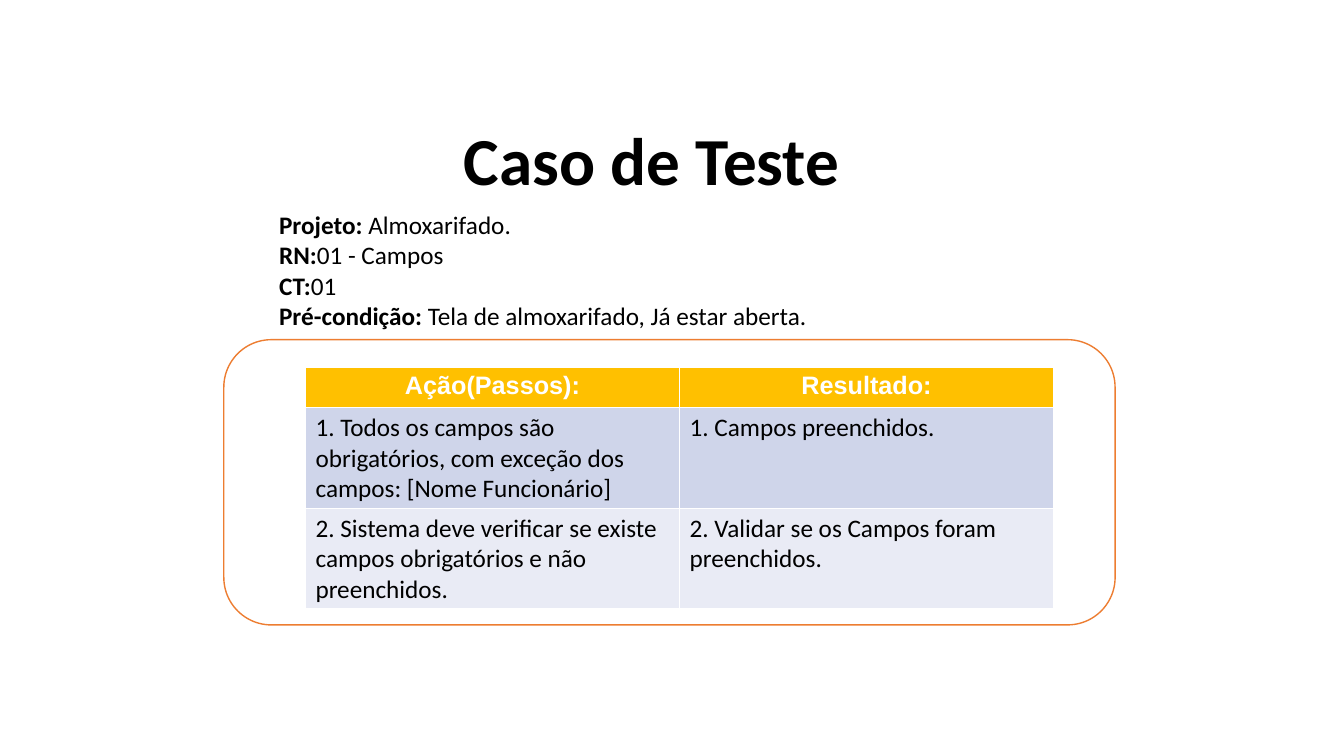
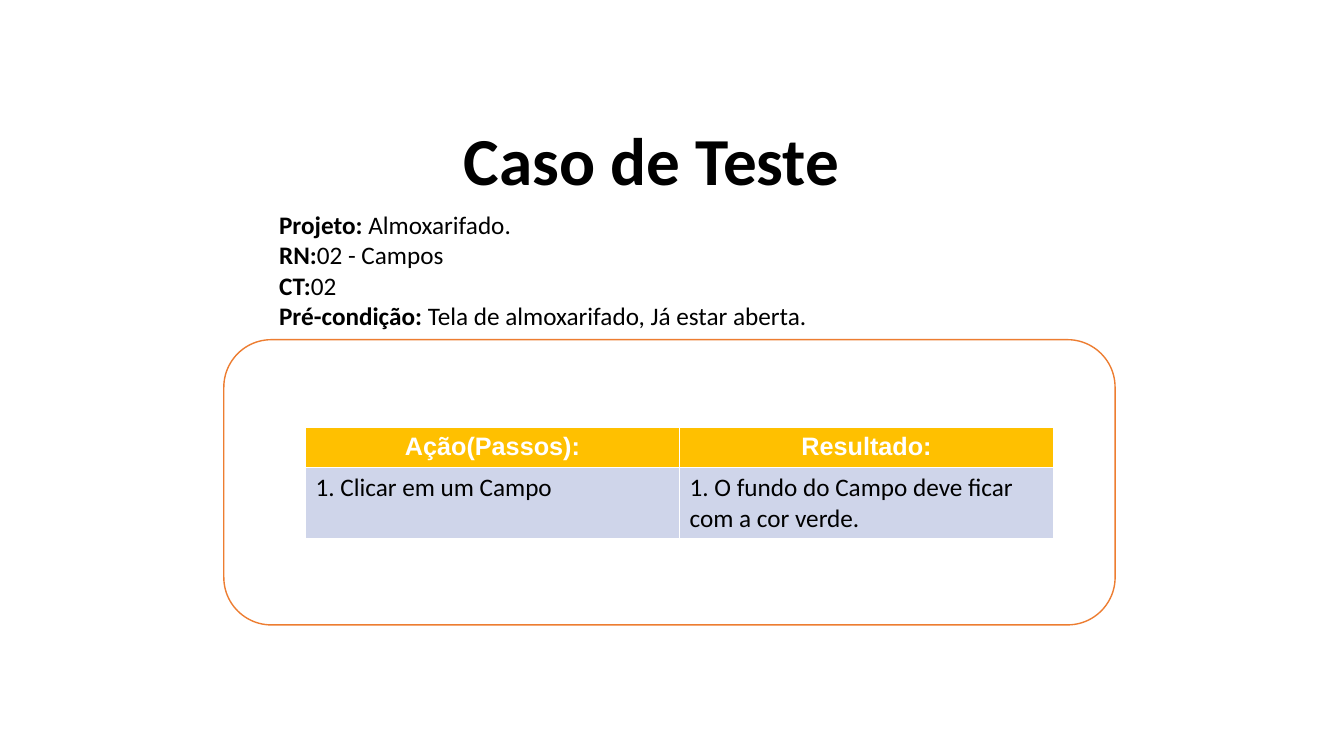
from pptx import Presentation
from pptx.dml.color import RGBColor
from pptx.enum.shapes import MSO_SHAPE
from pptx.enum.text import MSO_ANCHOR, MSO_AUTO_SIZE, PP_ALIGN
from pptx.util import Inches, Pt

ROUNDED = MSO_SHAPE.ROUNDED_RECTANGLE
TOP = MSO_ANCHOR.TOP
NO_AUTOFIT = MSO_AUTO_SIZE.NONE
LEFT, CENTER = PP_ALIGN.LEFT, PP_ALIGN.CENTER

BLACK = RGBColor(0x00, 0x00, 0x00)
WHITE = RGBColor(0xFF, 0xFF, 0xFF)
ORANGE = RGBColor(0xED, 0x7D, 0x31)
GOLD = RGBColor(0xFF, 0xC0, 0x00)
BANDS = (RGBColor(0xCF, 0xD5, 0xEA), RGBColor(0xE9, 0xEB, 0xF5))

BODY_FONT, HEADER_FONT = "Calibri", "Arial"
HEADERS = ("Ação(Passos):", "Resultado:")
HEADER_HEIGHT = 0.4

# Each case: number, table top, then rows of (height, action, result)
CASES = (
    ("01", 3.64, (
        (1.0, "1. Todos os campos são obrigatórios, com exceção dos campos: "
              "[Nome Funcionário]", "1. Campos preenchidos."),
        (1.0, "2. Sistema deve verificar se existe campos obrigatórios e não "
              "preenchidos.", "2. Validar se os Campos foram preenchidos."),
    )),
    ("02", 4.24, (
        (0.7, "1. Clicar em um Campo",
         "1. O fundo do Campo deve ficar com a cor verde."),
    )),
)


def style_paragraph(para, size=18, font=BODY_FONT, color=BLACK, bold=None,
                    align=LEFT):
    para.alignment = align
    para.font.size = Pt(size)
    para.font.name = font
    para.font.color.rgb = color
    para.font.bold = bold


def set_title(page):
    title = page.shapes.title
    title.left, title.top = Inches(4.5), Inches(1.12)
    title.width, title.height = Inches(4.48), Inches(0.91)
    frame = title.text_frame
    frame.text = "Caso de Teste"
    frame.auto_size = NO_AUTOFIT
    frame.vertical_anchor = TOP
    style_paragraph(frame.paragraphs[0], size=48, bold=True)


def add_panel(page):
    panel = page.shapes.add_shape(ROUNDED, Inches(2.22), Inches(3.37),
                                  Inches(8.84), Inches(2.83))
    panel.shadow.inherit = False
    panel.fill.solid()
    panel.fill.fore_color.rgb = WHITE
    panel.line.color.rgb = ORANGE
    panel.line.width = Pt(1)


def add_details(page, number):
    """Write the bold labels and plain values above the panel."""
    details = (
        ("Projeto: ", "Almoxarifado."),
        ("RN:", f"{number} - Campos"),
        ("CT:", number),
        ("Pré-condição: ", "Tela de almoxarifado, Já estar aberta."),
    )
    box = page.shapes.add_textbox(Inches(2.67), Inches(2.03),
                                  Inches(8.4), Inches(1.3))
    frame = box.text_frame
    frame.word_wrap = True
    for index, (label, value) in enumerate(details):
        para = frame.add_paragraph() if index else frame.paragraphs[0]
        style_paragraph(para)
        for text, bold in ((label, True), (value, False)):
            span = para.add_run()
            span.text = text
            span.font.bold = bold


def fill_row(table, index, texts, height, fill, **text_style):
    table.rows[index].height = Inches(height)
    for cell, text in zip(table.rows[index].cells, texts):
        cell.text = text
        cell.fill.solid()
        cell.fill.fore_color.rgb = fill
        style_paragraph(cell.text_frame.paragraphs[0], **text_style)


def add_steps(page, top, steps):
    """Add the table of actions and expected results."""
    height = HEADER_HEIGHT + sum(step[0] for step in steps)
    table = page.shapes.add_table(len(steps) + 1, len(HEADERS), Inches(3.03),
                                  Inches(top), Inches(7.42),
                                  Inches(height)).table
    fill_row(table, 0, HEADERS, HEADER_HEIGHT, GOLD, font=HEADER_FONT,
             color=WHITE, bold=True, align=CENTER)
    for index, (row_height, *texts) in enumerate(steps):
        fill_row(table, index + 1, texts, row_height,
                 BANDS[index % len(BANDS)], bold=False)


def main():
    deck = Presentation()
    deck.slide_width, deck.slide_height = Inches(13.33), Inches(7.5)
    title_only = deck.slide_layouts[5]
    for number, table_top, steps in CASES:
        page = deck.slides.add_slide(title_only)
        set_title(page)
        add_panel(page)
        add_details(page, number)
        add_steps(page, table_top, steps)
    deck.save("out.pptx")


if __name__ == "__main__":
    main()
